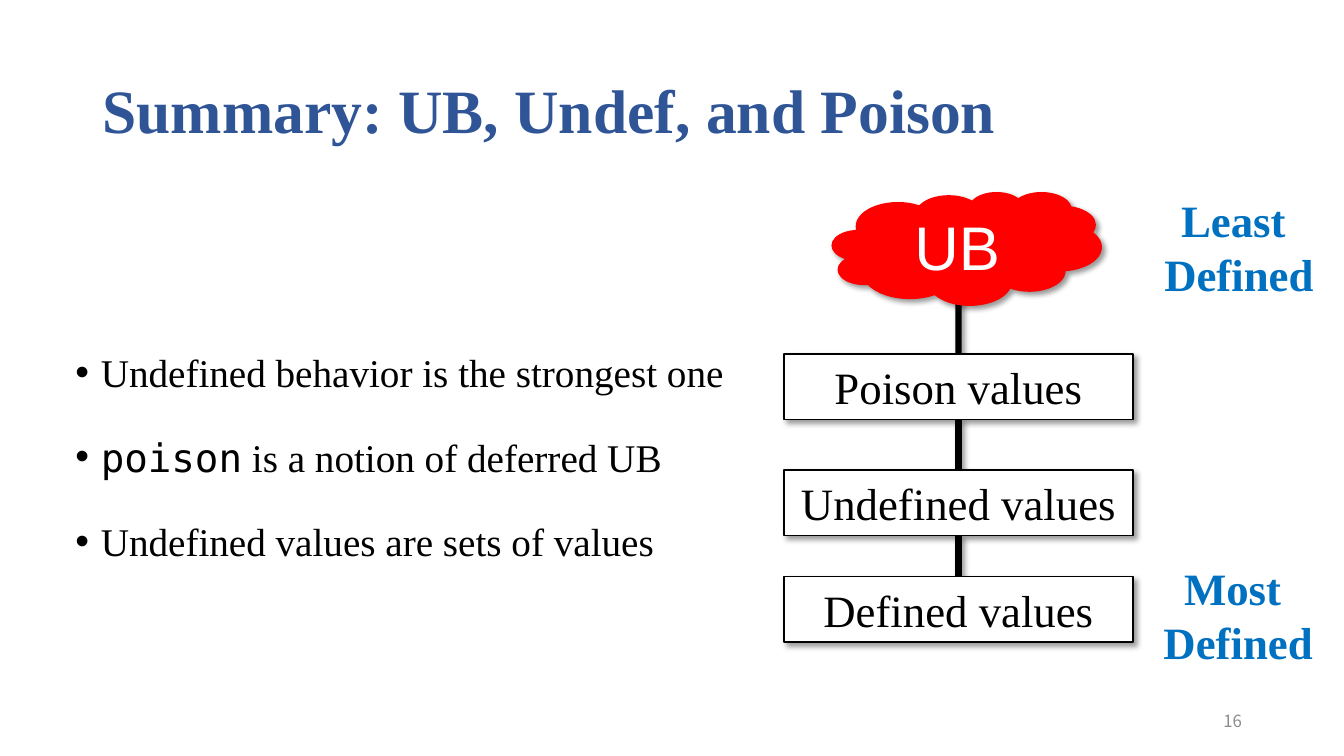
from lxml import etree
from pptx import Presentation
from pptx.dml.color import RGBColor
from pptx.enum.shapes import MSO_CONNECTOR, MSO_SHAPE
from pptx.enum.text import MSO_ANCHOR, MSO_AUTO_SIZE, PP_ALIGN
from pptx.oxml import parse_xml
from pptx.oxml.ns import nsdecls, qn
from pptx.util import Cm, Pt

LEFT, CENTER, RIGHT = PP_ALIGN.LEFT, PP_ALIGN.CENTER, PP_ALIGN.RIGHT
MIDDLE = MSO_ANCHOR.MIDDLE
GROW = MSO_AUTO_SIZE.SHAPE_TO_FIT_TEXT
PROCESS, CLOUD = MSO_SHAPE.FLOWCHART_PROCESS, MSO_SHAPE.CLOUD_CALLOUT
STRAIGHT = MSO_CONNECTOR.STRAIGHT
TOP_SITE, BOTTOM_SITE = 0, 2

# Content: (left, top, width, height) in centimetres
TITLE = ("Summary: UB, Undef, and Poison", (2.33, 1.02, 29.21, 3.68))
NUMBER = ("16", (23.93, 17.65, 7.62, 1.02))
BULLETS = [
    [("Undefined behavior is the strongest one", "body")],
    [("poison", "code"), (" is a notion of deferred UB", "body")],
    [("Undefined values are sets of values", "body")],
]
BULLETS_AREA = (1.65, 5.16, 18.26, 12.09)
CLOUD_LABEL = ("UB", (20.96, 4.83, 6.81, 2.87))
LEVELS = [("Poison values", 8.92), ("Undefined values", 11.84), ("Defined values", 14.53)]
LEVEL_LEFT, LEVEL_WIDTH, LEVEL_HEIGHT = 19.76, 8.79, 1.65
CLOUD_LINE_TOP = 7.34
SCALE_LABELS = [
    ("Least \vDefined", (29.18, 4.7, 4.09, 3.02)),
    ("Most \vDefined", (29.16, 13.97, 4.09, 3.02)),
]

# Theme: style name -> (font, size, colour, bold)
SERIF = "Times New Roman"
THEME = {
    "title": (SERIF, 44, "2F5597", True),
    "body": (SERIF, 28, "000000", False),
    "code": ("DejaVu Sans Mono", 28, "000000", False),
    "number": ("Noto Sans CJK KR", 12, "8C8C8C", False),
    "level": (SERIF, 32, "000000", False),
    "cloud": ("Arial", 44, "FFFFFF", False),
    "scale": (SERIF, 32, "0070C0", True),
    "line": "000000",
    "level_fill": "FFFFFF",
    "cloud_fill": "FF0000",
}


def color(name):
    return RGBColor.from_string(THEME[name])


def style_run(run, style):
    font_name, size, font_color, bold = THEME[style]
    run.font.name, run.font.size, run.font.bold = font_name, Pt(size), bold
    run.font.color.rgb = RGBColor.from_string(font_color)


def set_text(shape, text, style, alignment, inset=None):
    frame = shape.text_frame
    frame.text = text
    frame.vertical_anchor = MIDDLE
    if inset is not None:
        frame.margin_left = frame.margin_right = Cm(inset)
        frame.margin_top = frame.margin_bottom = Cm(inset)
        frame.auto_size = GROW
    paragraph = frame.paragraphs[0]
    paragraph.alignment = alignment
    for run in paragraph.runs:
        style_run(run, style)


def add_box(area):
    box = slide.shapes.add_textbox(*map(Cm, area))
    box.text_frame.word_wrap = True
    return box


def add_shadow(shape):
    shape._element.spPr.append(parse_xml(
        f'<a:effectLst {nsdecls("a")}><a:outerShdw blurRad="{Pt(4)}" dist="{Pt(3)}" '
        'dir="2700000" rotWithShape="0"><a:srgbClr val="000000"><a:alpha val="40000"/>'
        '</a:srgbClr></a:outerShdw></a:effectLst>'))


def add_filled(preset, area, fill):
    shape = slide.shapes.add_shape(preset, *map(Cm, area))
    shape.fill.solid()
    shape.fill.fore_color.rgb = color(fill)
    shape.text_frame.word_wrap = True
    return shape


presentation = Presentation()
presentation.slide_width, presentation.slide_height = Cm(33.87), Cm(19.05)
slide = presentation.slides.add_slide(presentation.slide_layouts[6])

# Title and slide number
title = add_box(TITLE[1])
set_text(title, TITLE[0], "title", LEFT)
title.text_frame.paragraphs[0].line_spacing = 0.9
set_text(add_box(NUMBER[1]), NUMBER[0], "number", RIGHT)

# Bullet list
frame = add_box(BULLETS_AREA).text_frame
frame.vertical_anchor = MIDDLE
for index, parts in enumerate(BULLETS):
    paragraph = frame.add_paragraph() if index else frame.paragraphs[0]
    paragraph.line_spacing = 1.5
    if index:
        paragraph.space_before = Pt(10)
    properties = paragraph._p.get_or_add_pPr()
    properties.set("marL", str(Cm(0.64)))
    properties.set("indent", str(-Cm(0.64)))
    etree.SubElement(properties, qn("a:buFont")).set("typeface", "Arial")
    etree.SubElement(properties, qn("a:buChar")).set("char", "•")
    for text, style in parts:
        run = paragraph.add_run()
        run.text = text
        style_run(run, style)

# Cloud and level boxes
back_index = len(slide.shapes._spTree)
cloud = add_filled(CLOUD, CLOUD_LABEL[1], "cloud_fill")
cloud.adjustments[0], cloud.adjustments[1] = 0.119, -0.147
cloud.line.fill.background()
add_shadow(cloud)
set_text(cloud, CLOUD_LABEL[0], "cloud", CENTER, 0)

boxes = []
for text, top in LEVELS:
    box = add_filled(PROCESS, (LEVEL_LEFT, top, LEVEL_WIDTH, LEVEL_HEIGHT), "level_fill")
    box.line.color.rgb = color("line")
    box.line.width = Pt(1)
    add_shadow(box)
    set_text(box, text, "level", CENTER, 0.15)
    boxes.append(box)

# Lines down the chain, placed behind the shapes
middle = Cm(LEVEL_LEFT + LEVEL_WIDTH / 2)
for upper, lower in zip([None] + boxes, boxes):
    start = upper.top + upper.height if upper else Cm(CLOUD_LINE_TOP)
    link = slide.shapes.add_connector(STRAIGHT, middle, start, middle, lower.top)
    if upper:
        link.begin_connect(upper, BOTTOM_SITE)
    link.end_connect(lower, TOP_SITE)
    link.line.color.rgb = color("line")
    link.line.width = Pt(4.5)
    add_shadow(link)
    slide.shapes._spTree.insert(back_index, link._element)

# Labels at both ends of the scale
for text, area in SCALE_LABELS:
    label = add_box(area)
    set_text(label, text, "scale", CENTER, 0.15)
    label.text_frame.word_wrap = False

presentation.save("out.pptx")
